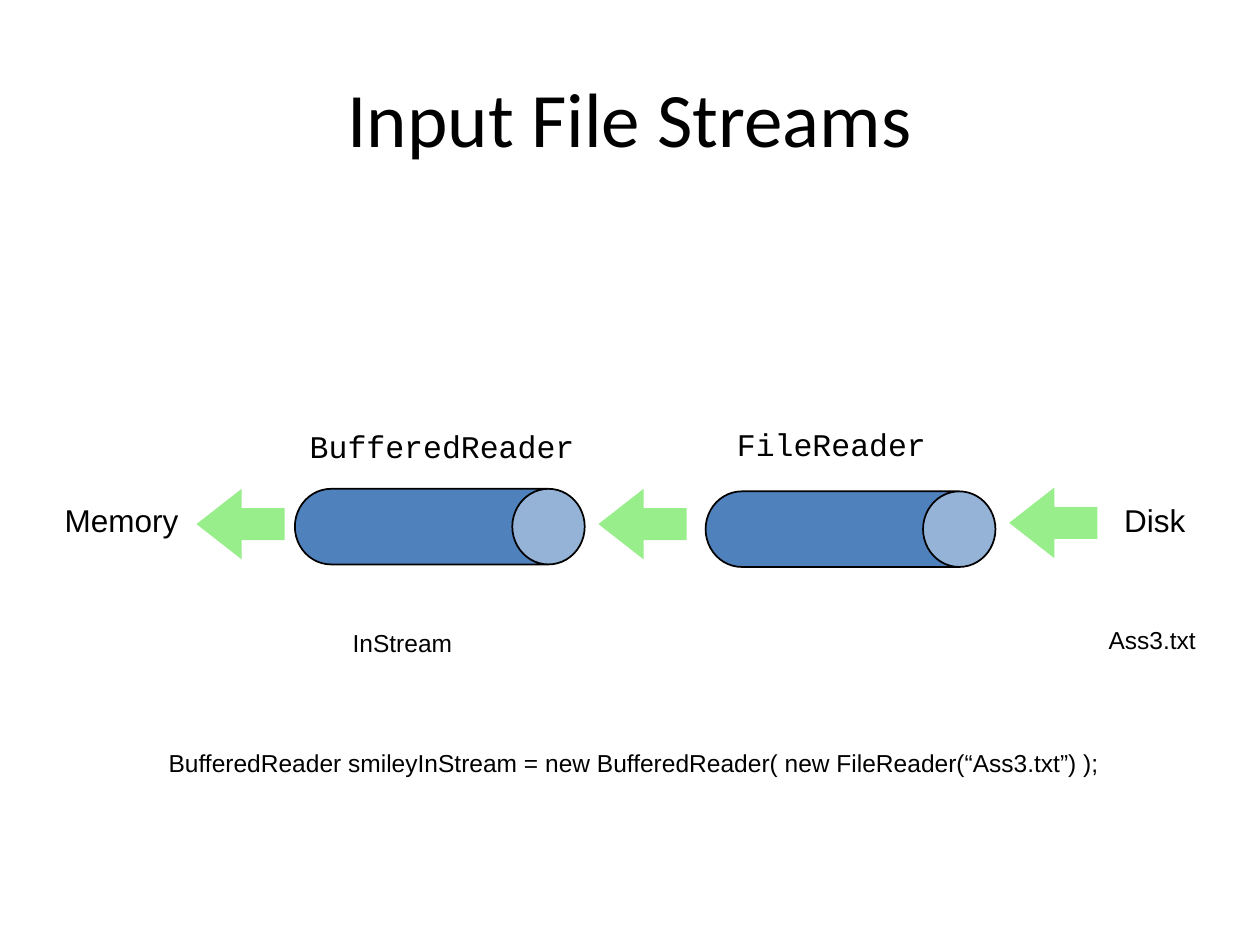
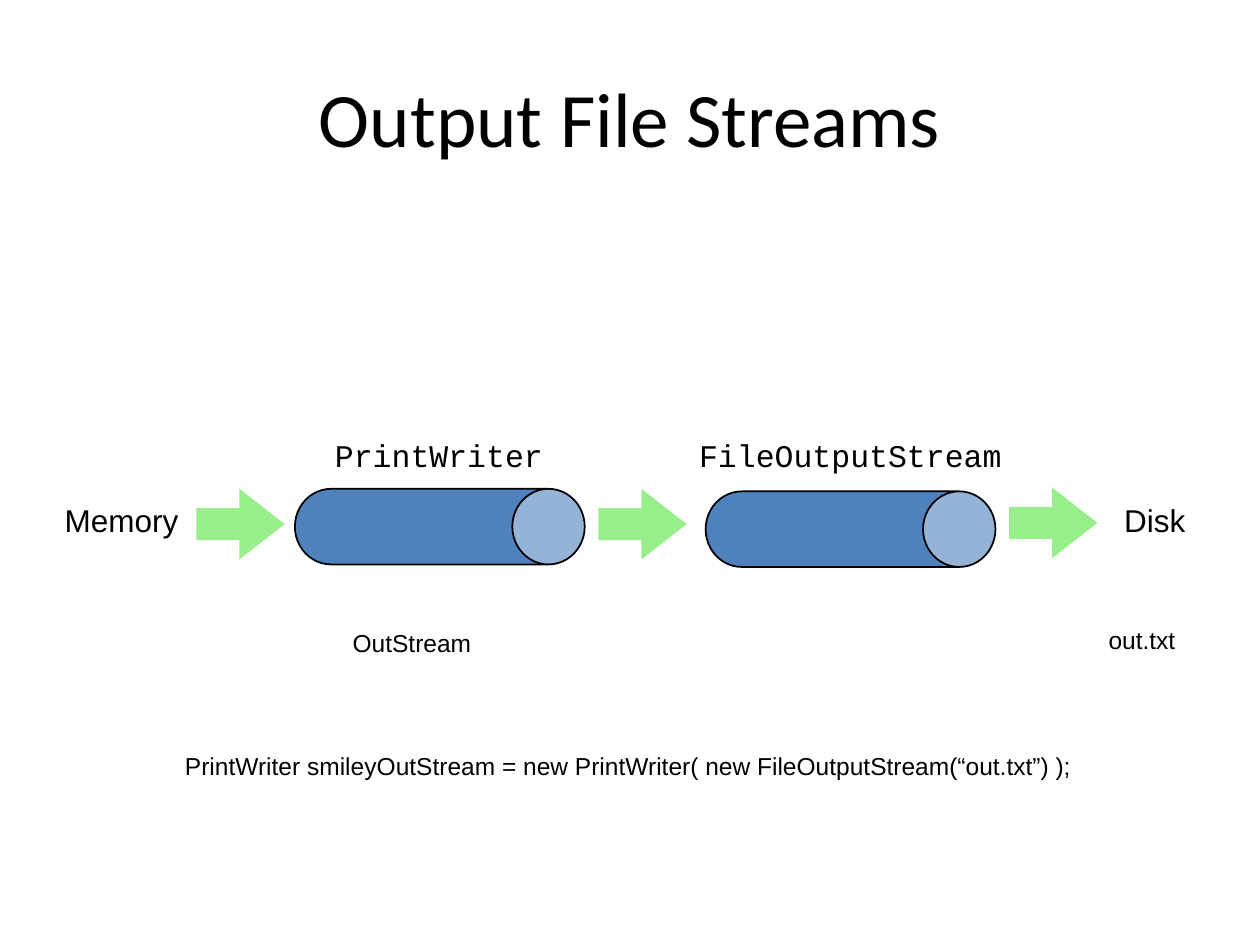
from dataclasses import dataclass

from lxml.etree import SubElement
from pptx import Presentation
from pptx.dml.color import RGBColor
from pptx.enum.shapes import MSO_SHAPE
from pptx.enum.text import MSO_ANCHOR, MSO_AUTO_SIZE, PP_ALIGN
from pptx.oxml.ns import qn
from pptx.util import Inches, Pt


@dataclass(frozen=True)
class Theme:
    ink: RGBColor = RGBColor(0x00, 0x00, 0x00)
    pipe: RGBColor = RGBColor(0x4F, 0x81, 0xBD)
    flow: RGBColor = RGBColor(0x98, 0xEE, 0x8A)
    title_font: str = "Calibri"
    label_font: str = "Arial"
    class_font: str = "Courier New"
    title_size: Pt = Pt(44)
    label_size: Pt = Pt(18)
    note_size: Pt = Pt(14)


theme = Theme()
deck = Presentation()
deck.slide_width, deck.slide_height = Inches(10), Inches(7.5)
column = deck.slide_width / 100
row = deck.slide_height / 75


def cells(left, top, width, height):
    return int(left * column), int(top * row), int(width * column), int(height * row)


def write(slide, area, words, font, size, centred=False, wrap=False, before=None):
    box = slide.shapes.add_textbox(*cells(*area))
    frame = box.text_frame
    frame.word_wrap = wrap
    frame.auto_size = MSO_AUTO_SIZE.NONE if centred else MSO_AUTO_SIZE.SHAPE_TO_FIT_TEXT
    frame.vertical_anchor = MSO_ANCHOR.MIDDLE if centred else MSO_ANCHOR.TOP
    paragraph = frame.paragraphs[0]
    paragraph.alignment = PP_ALIGN.CENTER if centred else PP_ALIGN.LEFT
    if before:
        paragraph.line_spacing = 0.8
        properties = paragraph._p.get_or_add_pPr()
        properties.set("marL", str(Inches(0.38)))
        properties.set("indent", str(-Inches(0.38)))
        spacing = SubElement(properties, qn("a:spcBef"))
        SubElement(spacing, qn("a:spcPct")).set("val", str(before * 1000))
    run = paragraph.add_run()
    run.text = words
    run.font.name = font
    run.font.size = size
    run.font.color.rgb = theme.ink


streams = [
    {
        "title": "Input File Streams",
        "arrow": MSO_SHAPE.LEFT_ARROW,
        "classes": [("BufferedReader", (23.6, 34, 24.8, 3.4)),
                    ("FileReader", (57.5, 33.8, 28.6, 3.4))],
        "notes": [("InStream", (27, 49.8, 9.9, 2.9)),
                  ("Ass3.txt", (87, 49.6, 9, 2.9)),
                  ("BufferedReader smileyInStream = new BufferedReader( new FileReader(“Ass3.txt”) );",
                   (12.4, 59.3, 77.3, 2.9))],
    },
    {
        "title": "Output File Streams",
        "arrow": MSO_SHAPE.RIGHT_ARROW,
        "classes": [("PrintWriter", (25.6, 34.7, 22.8, 3.4)),
                    ("FileOutputStream", (54.5, 34.7, 28.6, 3.4))],
        "notes": [("OutStream", (27, 49.8, 11.5, 2.9)),
                  ("out.txt", (87, 49.6, 7.3, 2.9)),
                  ("PrintWriter smileyOutStream = new PrintWriter( new FileOutputStream(“out.txt”) );",
                   (13.7, 59.6, 72.7, 2.9))],
    },
]

for stream in streams:
    slide = deck.slides.add_slide(deck.slide_layouts[6])
    write(slide, (5, 3, 90, 12.5), stream["title"], theme.title_font,
          theme.title_size, centred=True, wrap=True)

    for left, top in [(31.9, 30.3), (64.5, 30.5)]:
        pipe = slide.shapes.add_shape(MSO_SHAPE.CAN, *cells(left, top, 6, 23))
        pipe.rotation = 90
        pipe.adjustments[0] = 0.958
        pipe.shadow.inherit = False
        pipe.fill.solid()
        pipe.fill.fore_color.rgb = theme.pipe
        pipe.line.color.rgb = theme.ink
        pipe.line.width = Pt(1)

    for left, top in [(15.6, 38.8), (47.5, 38.8), (80.1, 38.7)]:
        flow = slide.shapes.add_shape(stream["arrow"], *cells(left, top, 7, 5.6))
        flow.adjustments[0] = 0.452
        flow.adjustments[1] = 0.64
        flow.shadow.inherit = False
        flow.fill.solid()
        flow.fill.fore_color.rgb = theme.flow
        flow.line.fill.background()

    for class_name, area in stream["classes"]:
        write(slide, area, class_name, theme.class_font, theme.label_size, wrap=True, before=50)

    for place, left in [("Disk", 86.3), ("Memory", 4.3)]:
        write(slide, (left, 39.4, 10.7, 4.3), place, theme.label_font,
              theme.label_size, centred=True, before=20)

    for note, area in stream["notes"]:
        write(slide, area, note, theme.label_font, theme.note_size, before=20)

deck.save("out.pptx")
